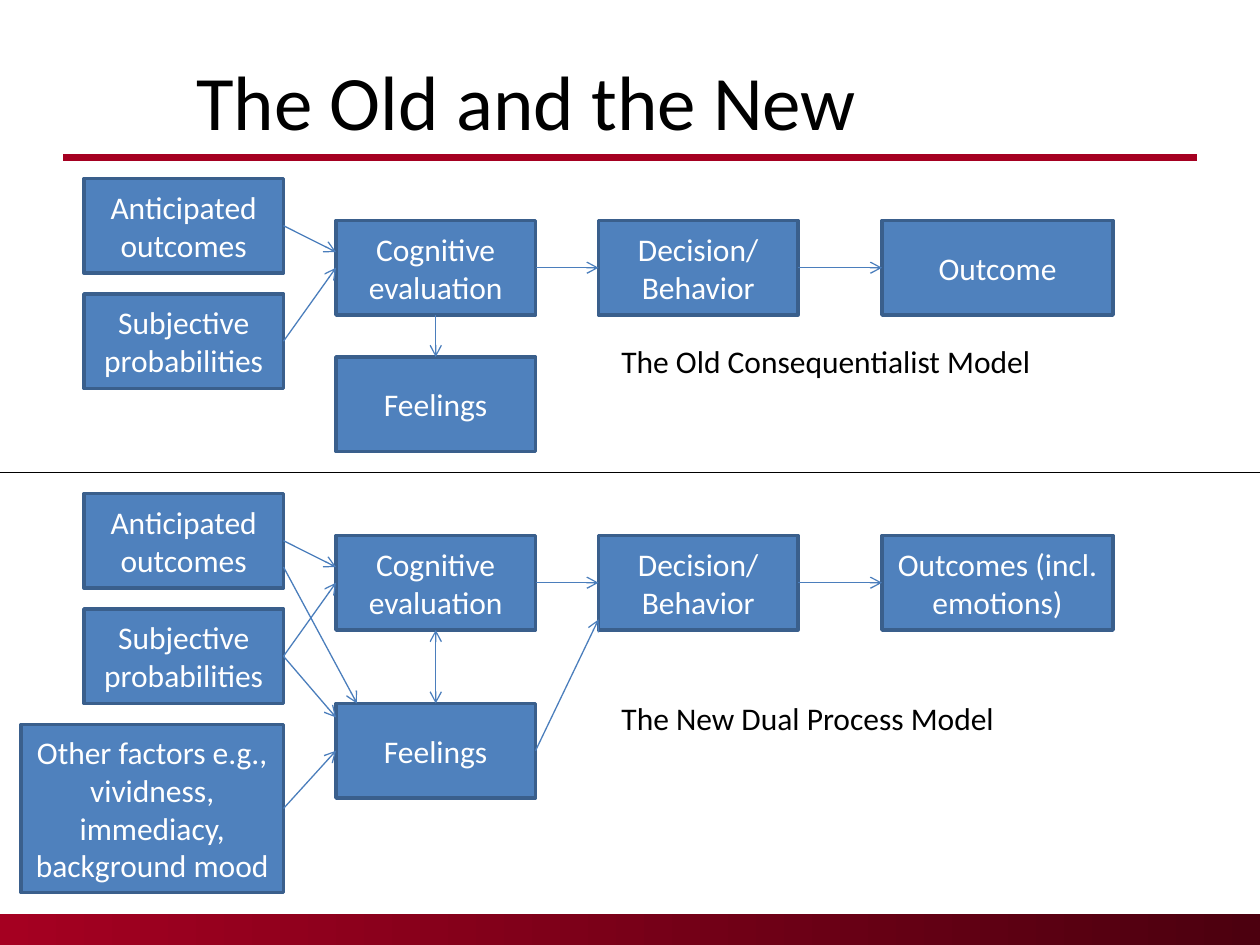
"""Builds a slide comparing the old consequentialist and the new dual process model."""
import pptx
import pptx.dml.color
import pptx.enum.shapes
import pptx.enum.text
import pptx.oxml.ns
import pptx.util
from lxml import etree

Pt = pptx.util.Pt
RGBColor = pptx.dml.color.RGBColor
PP_ALIGN = pptx.enum.text.PP_ALIGN
MSO_ANCHOR = pptx.enum.text.MSO_ANCHOR
RECTANGLE = pptx.enum.shapes.MSO_SHAPE.RECTANGLE
STRAIGHT = pptx.enum.shapes.MSO_CONNECTOR.STRAIGHT
qn = pptx.oxml.ns.qn

BLACK = RGBColor(0x00, 0x00, 0x00)
WHITE = RGBColor(0xFF, 0xFF, 0xFF)
BLUE = RGBColor(0x4F, 0x81, 0xBD)
BORDER = RGBColor(0x3A, 0x5F, 0x8C)
ARROW = RGBColor(0x4B, 0x7E, 0xBC)
CRIMSON = RGBColor(0xA5, 0x00, 0x21)
MAROON = RGBColor(0x4C, 0x00, 0x0F)


def write(tf, text, size=18, color=BLACK, align=PP_ALIGN.LEFT, anchor=MSO_ANCHOR.TOP):
    """Fill a text frame with one formatted paragraph."""
    tf.word_wrap = True
    tf.vertical_anchor = anchor
    p = tf.paragraphs[0]
    p.alignment = align
    r = p.add_run()
    r.text = text
    r.font.name = "Calibri"
    r.font.size = Pt(size)
    r.font.color.rgb = color


class Deck:
    """Holds the style and the current slide."""

    def __init__(self):
        """Start a 10 by 7.5 inch deck with one title-only slide."""
        self.prs = pptx.Presentation()
        self.prs.slide_width, self.prs.slide_height = Pt(720), Pt(540)
        self.s = self.prs.slides.add_slide(self.prs.slide_layouts[5])

    def title(self, text, x, y, w, h):
        """Place and fill the title placeholder."""
        sp = self.s.shapes.title
        sp.left, sp.top, sp.width, sp.height = Pt(x), Pt(y), Pt(w), Pt(h)
        write(sp.text_frame, text, size=44, anchor=MSO_ANCHOR.MIDDLE)

    def label(self, text, x, y, w, h=29):
        """Add a plain text box."""
        sp = self.s.shapes.add_textbox(Pt(x), Pt(y), Pt(w), Pt(h))
        write(sp.text_frame, text)

    def box(self, text, x, y, w=114, h=54):
        """Add a blue box with centred text."""
        sp = self.s.shapes.add_shape(RECTANGLE, Pt(x), Pt(y), Pt(w), Pt(h))
        sp.shadow.inherit = False
        sp.fill.solid()
        sp.fill.fore_color.rgb = BLUE
        sp.line.color.rgb = BORDER
        sp.line.width = Pt(2)
        write(sp.text_frame, text, color=WHITE, align=PP_ALIGN.CENTER, anchor=MSO_ANCHOR.MIDDLE)

    def band(self, x, y, w, h):
        """Add a band that fades from crimson to maroon."""
        sp = self.s.shapes.add_shape(RECTANGLE, Pt(x), Pt(y), Pt(w), Pt(h))
        sp.shadow.inherit = False
        sp.line.fill.background()
        sp.fill.gradient()
        sp.fill.gradient_angle = 0
        for stop, color, position in zip(sp.fill.gradient_stops, (CRIMSON, MAROON), (0, 1)):
            stop.color.rgb = color
            stop.position = position

    def line(self, x1, y1, x2, y2, color=BLACK, width=0.75, ends=()):
        """Add a straight line with arrowheads at the named ends."""
        sp = self.s.shapes.add_connector(STRAIGHT, Pt(x1), Pt(y1), Pt(x2), Pt(y2))
        sp.line.color.rgb = color
        sp.line.width = Pt(width)
        ln = sp.line._get_or_add_ln()
        for end in ends:
            etree.SubElement(ln, qn(f"a:{end}"), type="arrow")
        etree.SubElement(sp._element.spPr, qn("a:effectLst"))

    def arrow(self, x1, y1, x2, y2, ends=("tailEnd",)):
        """Add a thin blue arrow."""
        self.line(x1, y1, x2, y2, color=ARROW, ends=ends)

    def model(self, top, feelings, outcome, ends):
        """Add the boxes and arrows that both models share."""
        middle = top + 51
        self.box("Anticipated outcomes", 48, top)
        self.box("Subjective probabilities", 48, top + 66)
        self.box("Feelings", 192, feelings)
        self.box("Cognitive evaluation", 192, top + 24)
        self.box("Decision/ Behavior", 342, top + 24)
        self.box(outcome, 504, top + 24, w=132)
        self.arrow(162, top + 93, 192, middle)
        self.arrow(162, top + 27, 192, top + 42)
        self.arrow(249, top + 78, 249, feelings, ends)
        self.arrow(306, middle, 342, middle)
        self.arrow(456, middle, 504, middle)


def main():
    """Build and save the slide."""
    d = Deck()
    d.title("The Old and the New", 105, 12, 579, 90)
    d.line(36, 90, 684, 90, color=CRIMSON, width=4.5)
    d.band(0, 522, 720, 18)
    d.line(0, 270, 720, 270)
    d.label("The Old Consequentialist Model", 348, 192, 258)
    d.label("The New Dual Process Model", 348, 396, 306)

    d.model(102, 204, "Outcome", ("tailEnd",))
    d.model(282, 402, "Outcomes (incl. emotions)", ("headEnd", "tailEnd"))

    d.box("Other factors e.g., vividness, immediacy, background mood", 12, 414, w=150, h=96)
    d.arrow(162, 462, 192, 429)
    d.arrow(162, 375, 192, 410)
    d.arrow(162, 324, 204, 402)
    d.arrow(306, 429, 342, 354)
    d.prs.save("out.pptx")


if __name__ == "__main__":
    main()
